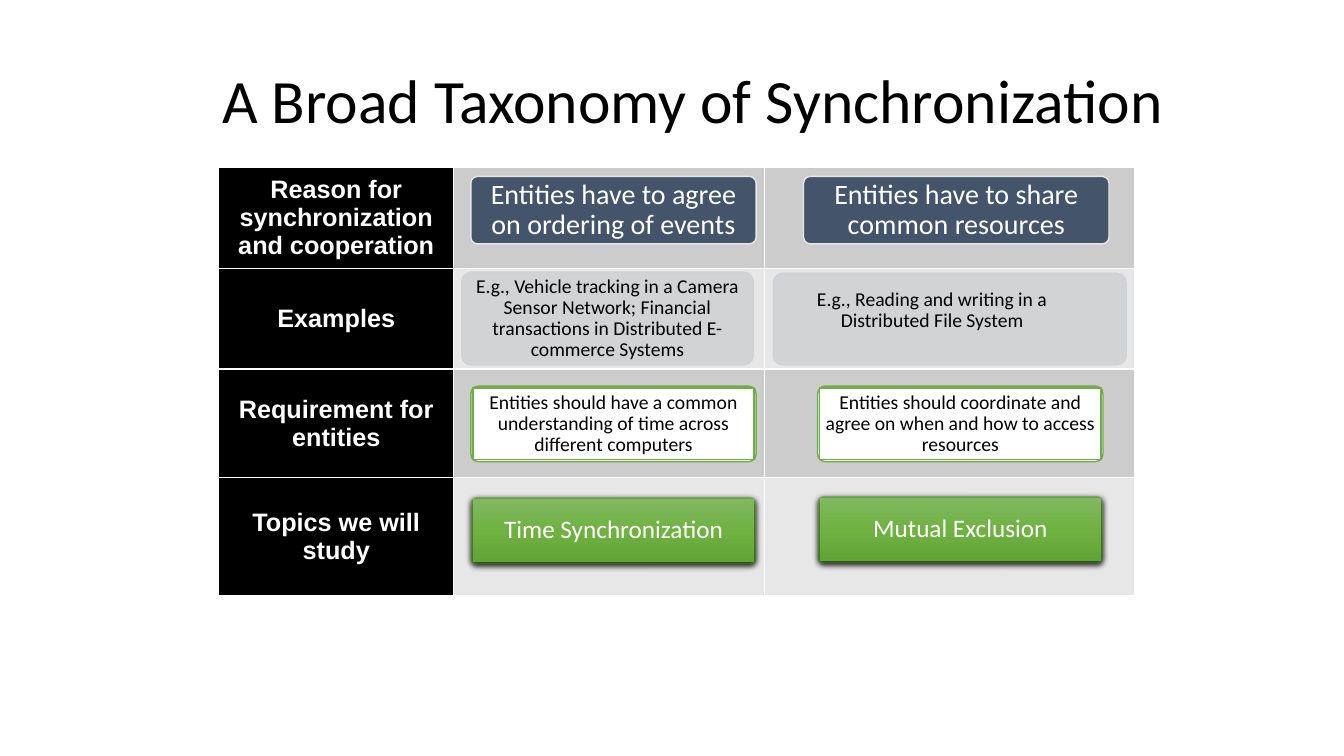
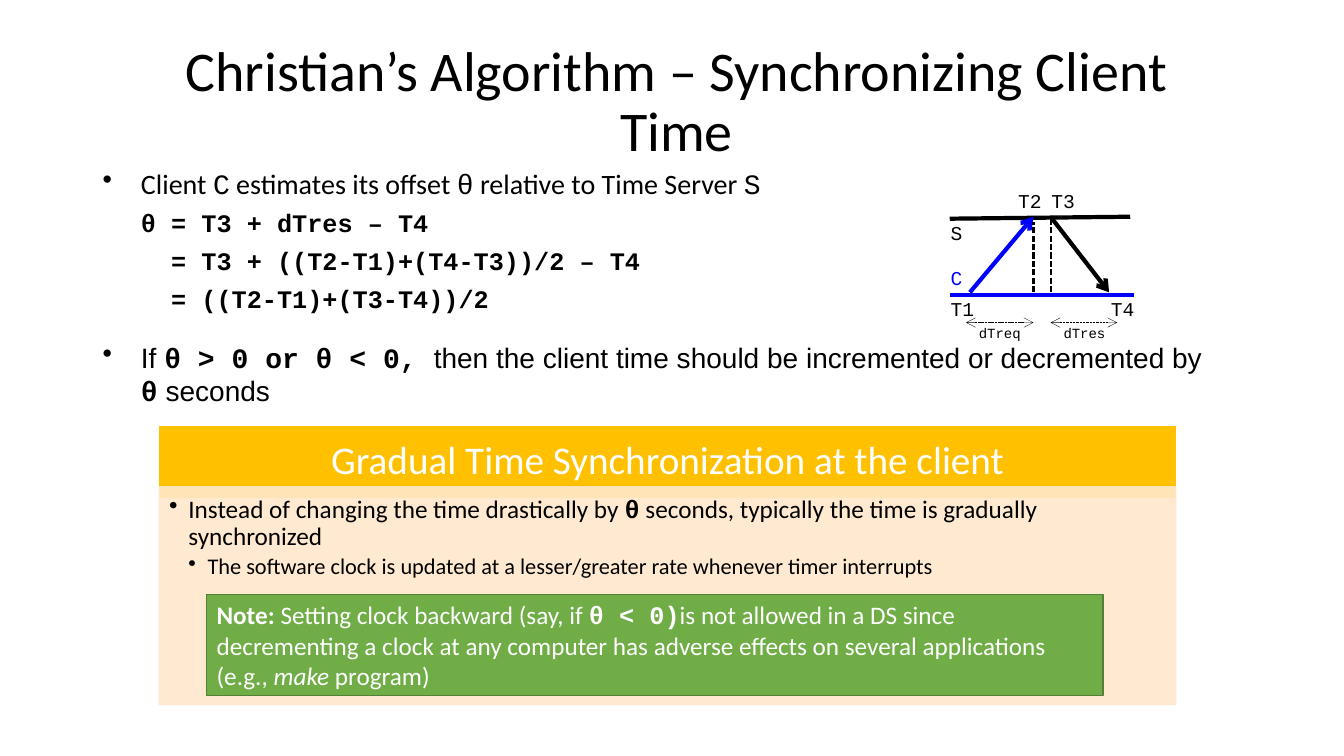
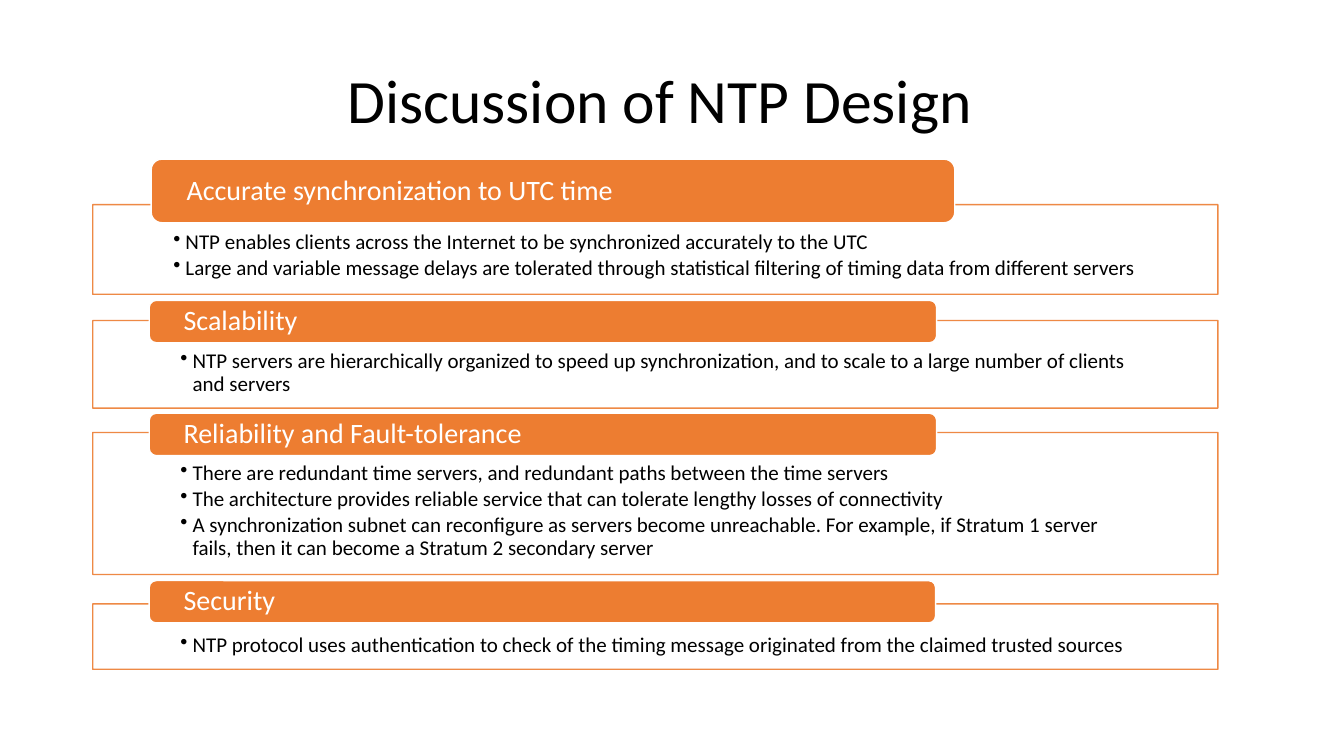
from copy import deepcopy

from lxml import etree
from pptx import Presentation
from pptx.dml.color import RGBColor
from pptx.enum import dml, shapes, text
from pptx.oxml import ns
from pptx.util import Inches, Pt

BLACK = RGBColor(0, 0, 0)
WHITE = RGBColor(255, 255, 255)
BLUE = RGBColor(0, 0, 255)
SLATE = RGBColor(0x44, 0x54, 0x6A)
PALE = RGBColor(0xE7, 0xE6, 0xE6)
MIST = RGBColor(0xCF, 0xD1, 0xD4)
DARK = RGBColor(0xCC, 0xCC, 0xCC)
LIGHT = RGBColor(0xE7, 0xE7, 0xE7)
GREEN = RGBColor(0x70, 0xAD, 0x47)
FOREST = RGBColor(0x53, 0x80, 0x35)
SHADES = [RGBColor(0x81, 0xB8, 0x61), RGBColor(0x6F, 0xB2, 0x42),
          RGBColor(0x62, 0xA3, 0x36)]
GOLD = RGBColor(0xFF, 0xC0, 0x00)
CREAM = RGBColor(0xFF, 0xE8, 0xCC)
ORANGE = RGBColor(0xED, 0x7D, 0x31)

SANS, ARIAL, MONO = "Calibri", "Arial", "Courier New"
RECT = shapes.MSO_SHAPE.RECTANGLE
ROUND = shapes.MSO_SHAPE.ROUNDED_RECTANGLE
TOP, MID = text.MSO_ANCHOR.TOP, text.MSO_ANCHOR.MIDDLE
LEFT, MIDDLE = text.PP_ALIGN.LEFT, text.PP_ALIGN.CENTER
CODE = {"font": MONO, "bold": True}


def write(frame, words, size=18, font=SANS, color=BLACK, bold=False,
          align=LEFT, space=1.0, before=0, after=0, left=0, hang=0):
    """Add one paragraph; words is a string or a list of strings and (string, format)."""
    para = frame.paragraphs[0]
    if para.runs:
        para = frame.add_paragraph()
    para.alignment, para.line_spacing = align, space
    para.space_before, para.space_after = Pt(before), Pt(after)
    props = para._p.get_or_add_pPr()
    props.set("marL", str(Inches(left)))
    props.set("indent", str(-Inches(hang)))
    if hang:
        etree.SubElement(props, ns.qn("a:buChar"), char="•")
    for part in [words] if isinstance(words, str) else words:
        label, own = (part, {}) if isinstance(part, str) else part
        run = para.add_run()
        run.text = label
        run.font.size = Pt(size)
        run.font.name = own.get("font", font)
        run.font.bold = own.get("bold", bold)
        run.font.italic = own.get("italic", False)
        run.font.color.rgb = color


def box(page, at, kind=None, fill=None, edge=None, alpha=100, round=None,
        anchor=TOP, inset=(0.1, 0.05, 0.1, 0.05)):
    """Add a shape, or a text box without a kind, and return its text frame."""
    place = [Inches(n) for n in at]
    if kind is None:
        item = page.shapes.add_textbox(*place)
    else:
        item = page.shapes.add_shape(kind, *place)
        item.shadow.inherit = False
        props = item._element.spPr
        if round:
            item.adjustments[0] = round
        if isinstance(fill, list):
            item.fill.gradient()
            item.fill.gradient_angle = 270
            stops = next(props.iter(ns.qn("a:gsLst")))
            stops.insert(1, deepcopy(stops[0]))
            stops[1].set("pos", "50000")
            for stop, shade in zip(item.fill.gradient_stops, fill):
                stop.color.rgb = shade
            cast = etree.SubElement(
                props.find(ns.qn("a:effectLst")), ns.qn("a:outerShdw"),
                blurRad=str(Pt(4.5)), dist=str(Pt(1.5)), dir="5400000", rotWithShape="0")
            ink = etree.SubElement(cast, ns.qn("a:srgbClr"), val=str(BLACK))
            etree.SubElement(ink, ns.qn("a:alpha"), val="63000")
        else:
            item.fill.solid()
            item.fill.fore_color.rgb = fill
        if edge is None:
            item.line.fill.background()
        else:
            item.line.color.rgb = edge
            item.line.width = Pt(1)
        if alpha < 100:
            for ink in props.iter(ns.qn("a:srgbClr")):
                etree.SubElement(ink, ns.qn("a:alpha"), val=str(alpha * 1000))
    frame = item.text_frame
    frame.word_wrap = True
    frame.vertical_anchor = anchor
    (frame.margin_left, frame.margin_top,
     frame.margin_right, frame.margin_bottom) = [Inches(n) for n in inset]
    return frame


deck = Presentation()
deck.slide_width, deck.slide_height = Inches(13.33), Inches(7.5)

# Slides and titles
pages = []
for title, left, width, size in [
    ("A Broad Taxonomy of Synchronization", 1.5, 10.75, 44),
    ("Christian’s Algorithm – Synchronizing Client Time", 1.17, 11.08, 40),
    ("Discussion of NTP Design", 1.92, 9.25, 44),
]:
    page = deck.slides.add_slide(deck.slide_layouts[6])
    frame = box(page, (left, 0.3, width, 1.45), anchor=MID)
    write(frame, title, size=size, align=MIDDLE, space=0.9)
    pages.append(page)
broad, clock, design = pages

# Slide 1: table
heads = ["Reason for synchronization and cooperation", "Examples",
         "Requirement for entities", "Topics we will study"]
grid = broad.shapes.add_table(4, 3, Inches(2.17), Inches(1.66),
                              Inches(9.08), Inches(4.25)).table
for col, width in zip(grid.columns, [2.33, 3.08, 3.67]):
    col.width = Inches(width)
for r, (head, high) in enumerate(zip(heads, [1, 1, 1.08, 1.17])):
    grid.rows[r].height = Inches(high)
    write(grid.cell(r, 0).text_frame, head, font=ARIAL, color=WHITE,
          bold=True, align=MIDDLE)
    for c in range(3):
        cell = grid.cell(r, c)
        cell.vertical_anchor = MID
        cell.fill.solid()
        cell.fill.fore_color.rgb = BLACK if c == 0 else (DARK, LIGHT)[r % 2]
        props = cell._tc.get_or_add_tcPr()
        for i, side in enumerate(["lnL", "lnR", "lnT", "lnB"]):
            rule = etree.Element(ns.qn("a:" + side), w=str(Pt(1)))
            solid = etree.SubElement(rule, ns.qn("a:solidFill"))
            etree.SubElement(solid, ns.qn("a:srgbClr"), val=str(WHITE))
            props.insert(i, rule)

# Slide 1: cards, each with an outer shape and an inner text area
for at, words in [
    ((4.67, 1.75, 2.83, 0.67), "Entities have to agree on ordering of events"),
    ((7.97, 1.75, 3.03, 0.67), "Entities have to share common resources"),
]:
    frame = box(broad, at, ROUND, SLATE, PALE, round=0.1, anchor=MID,
                inset=[0.05] * 4)
    write(frame, words, size=20, color=WHITE, align=MIDDLE, space=0.9)

for at, area, words in [
    ((7.67, 2.71, 3.5, 0.91), (7.67, 2.77, 3.15, 0.63),
     "E.g., Reading and writing in a Distributed File System"),
    ((4.58, 2.7, 2.89, 0.92), (4.6, 2.73, 2.85, 0.86),
     "E.g., Vehicle tracking in a Camera Sensor Network; Financial "
     "transactions in Distributed E-commerce Systems"),
]:
    box(broad, at, ROUND, MIST, MIST, alpha=90, round=0.1)
    frame = box(broad, area, anchor=MID, inset=[0.02] * 4)
    write(frame, words, size=14, align=MIDDLE, space=0.9)

for x, y, high, fill, edge, size, color, words in [
    (4.67, 3.83, 0.75, WHITE, GREEN, 14, BLACK,
     "Entities should have a common understanding of time across different computers"),
    (8.11, 3.83, 0.75, WHITE, GREEN, 14, BLACK,
     "Entities should coordinate and agree on when and how to access resources"),
    (4.67, 4.93, 0.67, SHADES, None, 18, WHITE, "Time Synchronization"),
    (8.11, 4.92, 0.67, SHADES, None, 18, WHITE, "Mutual Exclusion"),
]:
    box(broad, (x, y, 2.83, high), ROUND, fill, edge, round=0.1)
    frame = box(broad, (x + 0.02, y + 0.02, 2.79, high - 0.04), RECT, fill, edge,
                anchor=MID, inset=[0.02] * 4)
    write(frame, words, size=size, color=color, align=MIDDLE, space=0.9)

# Slide 2: formulas
plain, mono = {"font": SANS}, {"font": MONO}
frame = box(clock, (0.92, 1.6, 11.16, 5.67))
write(frame, ["Client ", ("C", mono), " estimates its offset ", ("θ", mono),
              " relative to Time Server ", ("S", mono)],
      size=20, before=5.5, left=0.38, hang=0.38)
for left, words in [(0.38, "θ = T3 + dTres – T4"),
                    (0.68, "= T3 + ((T2-T1)+(T4-T3))/2 – T4"),
                    (0.68, "= ((T2-T1)+(T3-T4))/2")]:
    write(frame, words, before=5.5, left=left, **CODE)
write(frame, ["If ", ("θ > 0 or θ < 0, ", CODE),
              "then the client time should be incremented or decremented by ",
              ("θ", CODE), " seconds"],
      size=20, font=ARIAL, before=19, left=0.38, hang=0.38)

# Slide 2: message diagram
dash = dml.MSO_LINE.SQUARE_DOT
for x1, y1, x2, y2, color, width, style, tips in [
    (9.42, 2.17, 11.21, 2.15, BLACK, 3, None, []),
    (9.42, 2.93, 11.25, 2.93, BLUE, 3, None, []),
    (9.62, 2.9, 10.25, 2.15, BLUE, 3, None, ["tailEnd"]),
    (10.42, 2.15, 11, 2.9, BLACK, 3, None, ["tailEnd"]),
    (10.42, 2.9, 10.42, 2.17, BLACK, 1.5, dash, []),
    (10.25, 2.9, 10.25, 2.2, BLACK, 1.5, dash, []),
    (11.08, 3.2, 10.42, 3.2, BLACK, 0.25, dash, ["headEnd", "tailEnd"]),
    (10.25, 3.2, 9.58, 3.2, BLACK, 0.25, dash, ["headEnd", "tailEnd"]),
]:
    wire = clock.shapes.add_connector(
        shapes.MSO_CONNECTOR.STRAIGHT, *[Inches(n) for n in (x1, y1, x2, y2)])
    wire.line.color.rgb = color
    wire.line.width = Pt(width)
    if style:
        wire.line.dash_style = style
    for tip in tips:
        etree.SubElement(wire.line._get_or_add_ln(), ns.qn("a:" + tip), type="arrow")
    etree.SubElement(wire._element.spPr, ns.qn("a:effectLst"))

for x, y, width, size, color, words in [
    (9.33, 2.14, 0.33, 14, BLACK, "S"),
    (9.33, 2.59, 0.33, 14, BLUE, "C"),
    (9.33, 2.9, 0.58, 14, BLACK, "T1"),
    (10, 1.83, 0.5, 14, BLACK, "T2"),
    (10.33, 1.83, 0.5, 14, BLACK, "T3"),
    (10.92, 2.9, 0.58, 14, BLACK, "T4"),
    (9.61, 3.17, 0.67, 10, BLACK, "dTreq"),
    (10.45, 3.17, 0.67, 10, BLACK, "dTres"),
]:
    frame = box(clock, (x, y, width, 0.34 if size == 14 else 0.28))
    write(frame, words, size=size, font=MONO, color=color)

# Slide 2: gradual synchronization panel
frame = box(clock, (1.58, 4.23, 10.08, 0.7), RECT, GOLD, GOLD, anchor=MID)
write(frame, "Gradual Time Synchronization at the client", size=28, color=WHITE,
      align=MIDDLE, space=0.9)
frame = box(clock, (1.58, 4.83, 10.08, 2.16), RECT, CREAM, CREAM, alpha=90,
            inset=(0.1, 0.1, 0.14, 0.16))
write(frame, ["Instead of changing the time drastically by ", ("θ", CODE),
              " seconds, typically the time is gradually synchronized"],
      space=0.9, after=2.7, left=0.19, hang=0.19)
write(frame, "The software clock is updated at a lesser/greater rate whenever "
      "timer interrupts", size=16, space=0.9, after=2.4, left=0.38, hang=0.19)
frame = box(clock, (2.05, 5.9, 8.89, 1), RECT, GREEN, FOREST, anchor=MID)
write(frame, [("Note:", {"bold": True}), " Setting clock backward (say, if ",
              ("θ < 0)", CODE),
              "is not allowed in a DS since decrementing a clock at any computer "
              "has adverse effects on several applications (e.g., ",
              ("make", {"italic": True}), " program)"], color=WHITE)

# Slide 3: framed topics with a tab on the upper edge
for y, high, tab, pad, head, points in [
    (2.03, 0.89, (1.5, 1.58, 7.97, 0.63), (0.8, 0.27),
     "Accurate synchronization to UTC time",
     ["NTP enables clients across the Internet to be synchronized accurately to the UTC",
      "Large and variable message delays are tolerated through statistical "
      "filtering of timing data from different servers"]),
    (3.18, 0.87, (1.48, 2.98, 7.81, 0.42), (0.87, 0.3), "Scalability",
     ["NTP servers are hierarchically organized to speed up synchronization, "
      "and to scale to a large number of clients and servers"]),
    (4.29, 1.41, (1.48, 4.1, 7.81, 0.42), (0.87, 0.3),
     "Reliability and Fault-tolerance",
     ["There are redundant time servers, and redundant paths between the time servers",
      "The architecture provides reliable service that can tolerate lengthy "
      "losses of connectivity",
      "A synchronization subnet can reconfigure as servers become unreachable. "
      "For example, if Stratum 1 server fails, then it can become a Stratum 2 "
      "secondary server"]),
    (5.99, 0.65, (1.48, 5.76, 7.8, 0.42), (0.87, 0.3), "Security",
     ["NTP protocol uses authentication to check of the timing message "
      "originated from the claimed trusted sources"]),
]:
    side, top = pad
    frame = box(design, (0.92, y, 11.16, high), RECT, WHITE, ORANGE, alpha=90,
                inset=(side, top, side, 0.12))
    for point in points:
        write(frame, point, size=15, space=0.9, after=2.25, left=0.12, hang=0.12)
    frame = box(design, tab, ROUND, ORANGE, WHITE, anchor=MID,
                inset=(0.32, 0, 0.32, 0))
    write(frame, head, size=20, color=WHITE, space=0.9)

deck.save("out.pptx")
